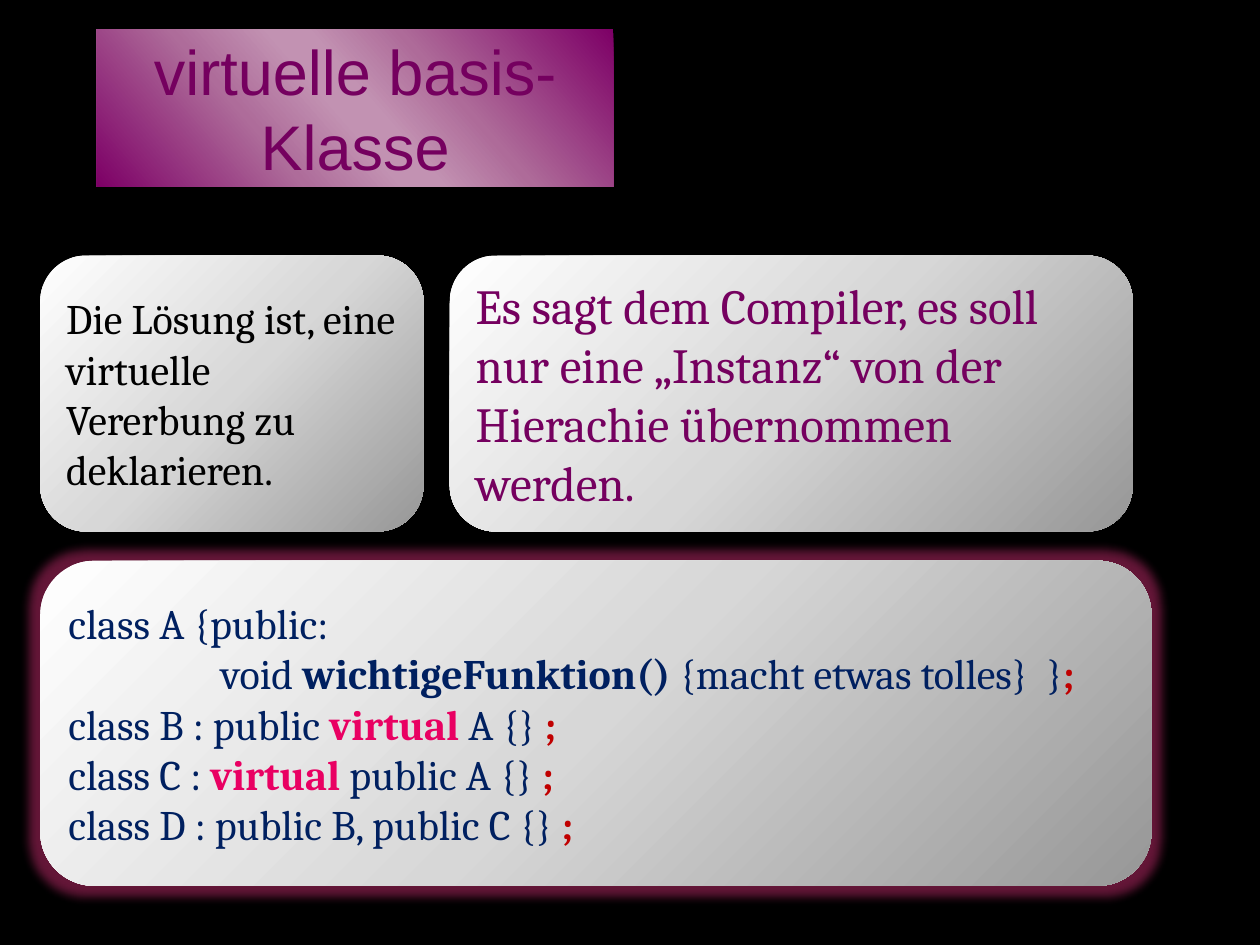
from dataclasses import dataclass

from lxml import etree
from pptx import Presentation
from pptx.dml.color import RGBColor
from pptx.enum.shapes import MSO_SHAPE
from pptx.enum.text import MSO_ANCHOR, MSO_AUTO_SIZE, PP_ALIGN
from pptx.oxml.ns import qn
from pptx.util import Pt

ROUNDED = MSO_SHAPE.ROUNDED_RECTANGLE
MIDDLE = MSO_ANCHOR.MIDDLE
NO_AUTOFIT = MSO_AUTO_SIZE.NONE
LEFT, CENTER = PP_ALIGN.LEFT, PP_ALIGN.CENTER
TITLE_ONLY = 5


@dataclass(frozen=True)
class Theme:
    """Fonts, type sizes and colours of the slide."""
    title_font: str = "Arial"
    body_font: str = "Cambria"
    title_size: int = 36
    lead_size: int = 28
    body_size: int = 24
    background: str = "000000"
    black: str = "000000"
    plum: str = "75005F"
    navy: str = "002060"
    pink: str = "E90062"
    red: str = "C00000"
    glow: str = "F8378A"
    title_stops: tuple = ((0, "7D0066"), (33, "AE6B99"), (47, "C292B2"),
                          (53, "C292B2"), (68, "AE6C9A"), (100, "7D0066"))
    card_stops: tuple = ((0, "979797"), (50, "D7D7D7"), (100, "FFFFFF"))


THEME = Theme()


def add_node(parent, tag, **attributes):
    """Append a DrawingML element with the given attributes."""
    values = {name: str(value) for name, value in attributes.items()}
    return etree.SubElement(parent, qn(f"a:{tag}"), values)


def fill_gradient(shape, stops, angle=None):
    """Fill linearly at an angle, or radially from the bottom right corner."""
    shape.fill.background()
    properties = shape._element.spPr
    empty_fill = properties.find(qn("a:noFill"))
    gradient = etree.Element(qn("a:gradFill"), rotWithShape="1")
    stop_list = add_node(gradient, "gsLst")
    for position, color in stops:
        stop = add_node(stop_list, "gs", pos=position * 1000)
        add_node(stop, "srgbClr", val=color)
    if angle is None:
        radial = add_node(gradient, "path", path="circle")
        add_node(radial, "fillToRect", l=100000, t=100000)
        add_node(gradient, "tileRect", r=-100000, b=-100000)
    else:
        add_node(gradient, "lin", ang=angle * 60000, scaled=0)
    properties.replace(empty_fill, gradient)


def add_glow(shape, color, radius, opacity):
    """Put a soft glow around a shape."""
    effects = shape._element.spPr.find(qn("a:effectLst"))
    glow = add_node(effects, "glow", rad=radius)
    tint = add_node(glow, "srgbClr", val=color)
    add_node(tint, "alpha", val=opacity * 1000)


def place(shape, box):
    """Move a shape to a box of left, top, width and height in points."""
    shape.left, shape.top, shape.width, shape.height = map(Pt, box)


def style_font(font, name, size, color):
    """Set typeface, size and colour."""
    font.name, font.size = name, Pt(size)
    font.color.rgb = RGBColor.from_string(color)


def build_title(page, box, text):
    """Turn the title placeholder into a rounded gradient banner."""
    title = page.shapes.title
    place(title, box)
    outline = etree.Element(qn("a:prstGeom"), prst="roundRect")
    add_node(outline, "avLst")
    title._element.spPr.insert(1, outline)
    fill_gradient(title, THEME.title_stops, angle=139)
    frame = title.text_frame
    frame.text = text
    frame.word_wrap = True
    frame.auto_size = NO_AUTOFIT
    frame.vertical_anchor = MIDDLE
    para = frame.paragraphs[0]
    para.alignment = CENTER
    style_font(para.font, THEME.title_font, THEME.title_size, THEME.plum)


def build_card(page, box, lines, size, color):
    """Add a rounded grey card; a line is (indent, spans of text, bold, colour)."""
    card = page.shapes.add_shape(ROUNDED, *map(Pt, box))
    card.shadow.inherit = False
    card.line.fill.background()
    fill_gradient(card, THEME.card_stops)
    frame = card.text_frame
    frame.word_wrap = True
    frame.vertical_anchor = MIDDLE
    for index, (indent, spans) in enumerate(lines):
        para = frame.add_paragraph() if index else frame.paragraphs[0]
        para.alignment = LEFT
        para._p.get_or_add_pPr().set("marL", str(Pt(indent)))
        style_font(para.font, THEME.body_font, size, color)
        for text, bold, span_color in spans:
            span = para.add_run()
            span.text = text
            style_font(span.font, THEME.body_font, size, span_color or color)
            if bold:
                span.font.bold = True
    return card


def plain(text):
    """Return a span in the card's own style."""
    return text, False, None


def build_code(page, box):
    """Add the glowing card with the class listing."""
    end = (";", True, THEME.red)
    spaced_end = (" ;", True, THEME.red)
    virtual = ("virtual", True, THEME.pink)
    lines = [
        (0, [plain("class A {public:")]),
        (87, [plain("void "), ("wichtigeFunktion() ", True, None),
              plain("{macht etwas tolles}  }"), end]),
        (0, [plain("class B : public "), virtual, plain(" A {}"), spaced_end]),
        (0, [plain("class C : "), virtual, plain(" public A {}"), spaced_end]),
        (0, [plain("class D : public B, public C {}"), spaced_end]),
    ]
    card = build_card(page, box, lines, THEME.body_size, THEME.navy)
    add_glow(card, THEME.glow, Pt(11), 40)


def build_statements(page, box, gap, first_width):
    """Add the two statement cards side by side."""
    left, top, width, height = box
    second_left = left + first_width + gap
    second_width = width - first_width - gap
    solution = "Die Lösung ist, eine virtuelle Vererbung zu deklarieren."
    effect = ("Es sagt dem Compiler, es soll nur eine „Instanz“ "
              "von der Hierachie übernommen werden.")
    build_card(page, (left, top, first_width, height),
               [(0, [plain(solution)])], THEME.body_size, THEME.black)
    build_card(page, (second_left, top, second_width, height),
               [(0, [plain(effect)])], THEME.lead_size, THEME.plum)


def main():
    """Build and save the deck."""
    deck = Presentation()
    deck.slide_width, deck.slide_height = Pt(720), Pt(540)
    page = deck.slides.add_slide(deck.slide_layouts[TITLE_ONLY])
    page.background.fill.solid()
    page.background.fill.fore_color.rgb = RGBColor.from_string(THEME.background)
    build_title(page, (55.4, 16.6, 295.2, 90), "virtuelle basis-Klasse")
    build_statements(page, (23, 146, 624.3, 157.7), gap=15, first_width=219)
    build_code(page, (23, 320.4, 635, 185.8))
    deck.save("out.pptx")


main()
